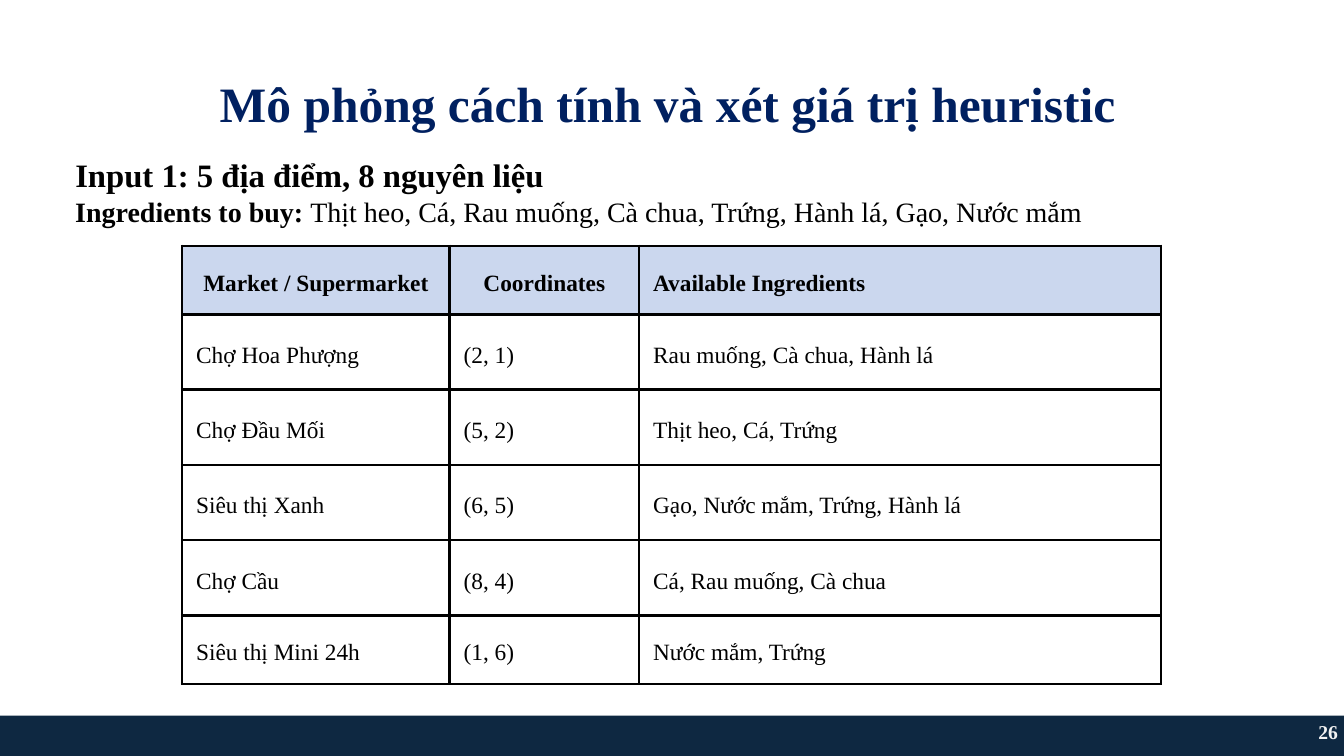
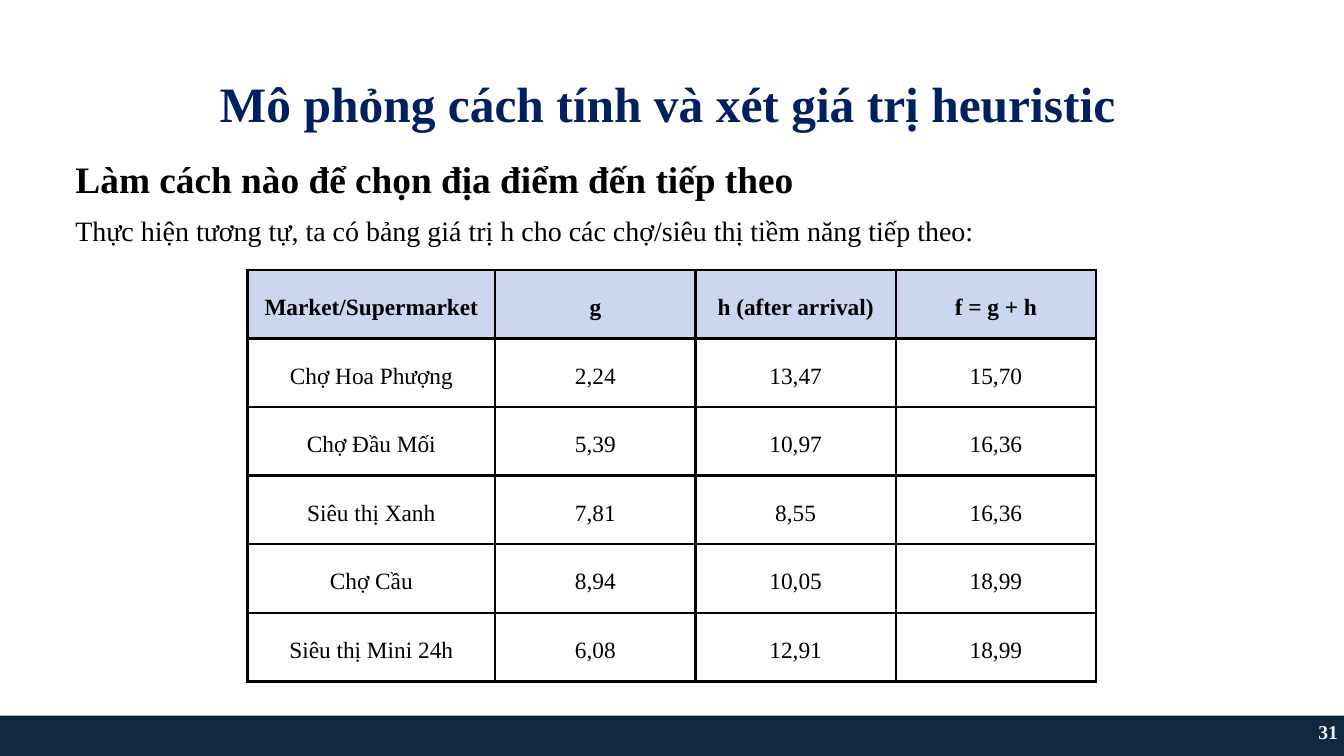
from lxml import etree
from pptx import Presentation
from pptx.dml.color import RGBColor
from pptx.enum import shapes, text
from pptx.oxml.ns import qn
from pptx.util import Inches, Pt

FONT = "Times New Roman"
COLORS = {
    "band": "0E2841",
    "title": "002060",
    "number": "F2F2F2",
    "header": "CBD7EE",
    "ink": "000000",
}
TITLE = "Mô phỏng cách tính và xét giá trị heuristic"
LEFT, CENTER = text.PP_ALIGN.LEFT, text.PP_ALIGN.CENTER
RIGHT, JUSTIFY = text.PP_ALIGN.RIGHT, text.PP_ALIGN.JUSTIFY
TOP, MIDDLE = text.MSO_ANCHOR.TOP, text.MSO_ANCHOR.MIDDLE


def color(key):
    return RGBColor.from_string(COLORS[key])


def style_paragraph(paragraph, size, spacing, ink="ink", bold=False, align=LEFT):
    paragraph.alignment = align
    paragraph.line_spacing = Pt(spacing)
    font = paragraph.font
    font.name, font.size = FONT, Pt(size)
    font.color.rgb = color(ink)
    if bold is not None:
        font.bold = bold


def prepare_frame(frame, anchor=TOP):
    frame.word_wrap = True
    frame.auto_size = text.MSO_AUTO_SIZE.NONE
    frame.vertical_anchor = anchor
    frame.margin_left = frame.margin_right = 0
    frame.margin_top = frame.margin_bottom = 0


def add_line(slide, box, content, size, spacing, anchor=TOP, **style):
    frame = slide.shapes.add_textbox(*map(Inches, box)).text_frame
    prepare_frame(frame, anchor)
    paragraph = frame.paragraphs[0]
    if content:
        paragraph.text = content
    style_paragraph(paragraph, size, spacing, **style)
    return paragraph


def add_footer(slide, box, number):
    left, top, width, height = box
    band = slide.shapes.add_shape(shapes.MSO_SHAPE.RECTANGLE, *map(Inches, box))
    band.shadow.inherit = False
    band.fill.solid()
    band.fill.fore_color.rgb = color("band")
    band.line.fill.background()
    number_box = (left + width - 4.59, top - 0.06, 4.5, height)
    add_line(slide, number_box, str(number), 21, 25.2, MIDDLE,
             ink="number", bold=True, align=RIGHT)


def add_title_slide(prs, number):
    slide = prs.slides.add_slide(prs.slide_layouts[5])
    add_footer(slide, (0, 10.65, 20, 0.6), number)
    title = slide.shapes.title
    title.left, title.top = Inches(3.27), Inches(1.09)
    title.width, title.height = Inches(13.46), Inches(0.91)
    title.text_frame.text = TITLE
    prepare_frame(title.text_frame)
    style_paragraph(title.text_frame.paragraphs[0], 53, 63.6, "title", True)
    return slide


def outline_cell(cell):
    properties = cell._tc.get_or_add_tcPr()
    for side in ("a:lnL", "a:lnR", "a:lnT", "a:lnB"):
        edge = etree.SubElement(properties, qn(side), w=str(Pt(3)))
        fill = etree.SubElement(edge, qn("a:solidFill"))
        etree.SubElement(fill, qn("a:srgbClr"), val=COLORS["ink"])


def add_market_table(slide, left, top, widths, heights, rows, header_aligns, body_align):
    table = slide.shapes.add_table(
        len(rows), len(widths), Inches(left), Inches(top),
        Inches(sum(widths)), Inches(sum(heights))).table
    table.horz_banding = False
    for column, width in zip(table.columns, widths):
        column.width = Inches(width)
    for r, (values, height) in enumerate(zip(rows, heights)):
        table.rows[r].height = Inches(height)
        is_header = r == 0
        for c, value in enumerate(values):
            cell = table.cell(r, c)
            cell.text = value
            cell.vertical_anchor = MIDDLE
            cell.margin_left = cell.margin_right = Inches(0.21)
            cell.margin_top = cell.margin_bottom = Inches(0.21)
            outline_cell(cell)
            if is_header:
                cell.fill.solid()
                cell.fill.fore_color.rgb = color("header")
            else:
                cell.fill.background()
            style_paragraph(cell.text_frame.paragraphs[0], 25, 35, bold=is_header,
                            align=header_aligns[c] if is_header else body_align)


def build_input_slide(prs):
    slide = add_title_slide(prs, 26)
    rows = [
        ("Market / Supermarket", "Coordinates", "Available Ingredients"),
        ("Chợ Hoa Phượng", "(2, 1)", "Rau muống, Cà chua, Hành lá"),
        ("Chợ Đầu Mối", "(5, 2)", "Thịt heo, Cá, Trứng"),
        ("Siêu thị Xanh", "(6, 5)", "Gạo, Nước mắm, Trứng, Hành lá"),
        ("Chợ Cầu", "(8, 4)", "Cá, Rau muống, Cà chua"),
        ("Siêu thị Mini 24h", "(1, 6)", "Nước mắm, Trứng"),
    ]
    add_market_table(slide, 2.71, 3.66, [3.98, 2.82, 7.77],
                     [1.02] + [1.12] * 4 + [1.02], rows,
                     [CENTER, CENTER, LEFT], JUSTIFY)
    add_line(slide, (1.12, 2.2, 8.98, 0.68),
             "Input 1: 5 địa điểm, 8 nguyên liệu", 35, 49, bold=True)
    ingredients = add_line(slide, (1.12, 2.81, 15.5, 0.59), "", 30, 42, bold=None)
    for content, bold in (
        ("Ingredients to buy: ", True),
        ("Thịt heo, Cá, Rau muống, Cà chua, Trứng, Hành lá, Gạo, Nước mắm", False),
    ):
        run = ingredients.add_run()
        run.text = content
        run.font.bold = bold


def build_choice_slide(prs):
    slide = add_title_slide(prs, 31)
    rows = [
        ("Market/Supermarket", "g", "h (after arrival)", "f = g + h"),
        ("Chợ Hoa Phượng", "2,24", "13,47", "15,70"),
        ("Chợ Đầu Mối", "5,39", "10,97", "16,36"),
        ("Siêu thị Xanh", "7,81", "8,55", "16,36"),
        ("Chợ Cầu", "8,94", "10,05", "18,99"),
        ("Siêu thị Mini 24h", "6,08", "12,91", "18,99"),
    ]
    add_market_table(slide, 3.68, 4.02, [3.69] + [2.98] * 3,
                     [1.02] * len(rows), rows, [CENTER] * 4, CENTER)
    add_line(slide, (1.12, 2.32, 10.69, 0.68),
             "Làm cách nào để chọn địa điểm đến tiếp theo", 40, 48,
             bold=True, align=CENTER)
    add_line(slide, (1.12, 3.18, 17.75, 0.53),
             "Thực hiện tương tự, ta có bảng giá trị h cho các "
             "chợ/siêu thị tiềm năng tiếp theo:", 30, 36)


def main():
    prs = Presentation()
    prs.slide_width, prs.slide_height = Inches(20), Inches(11.25)
    build_input_slide(prs)
    build_choice_slide(prs)
    prs.save("out.pptx")


if __name__ == "__main__":
    main()
